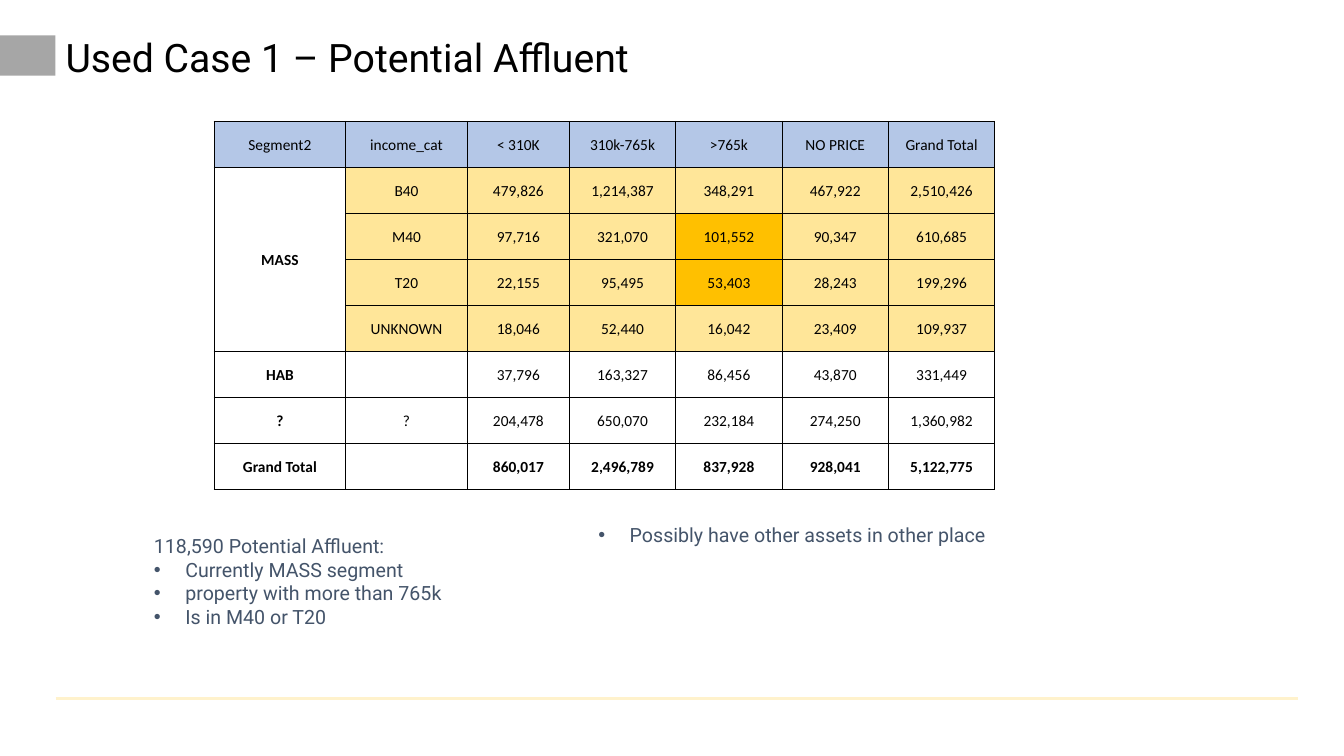
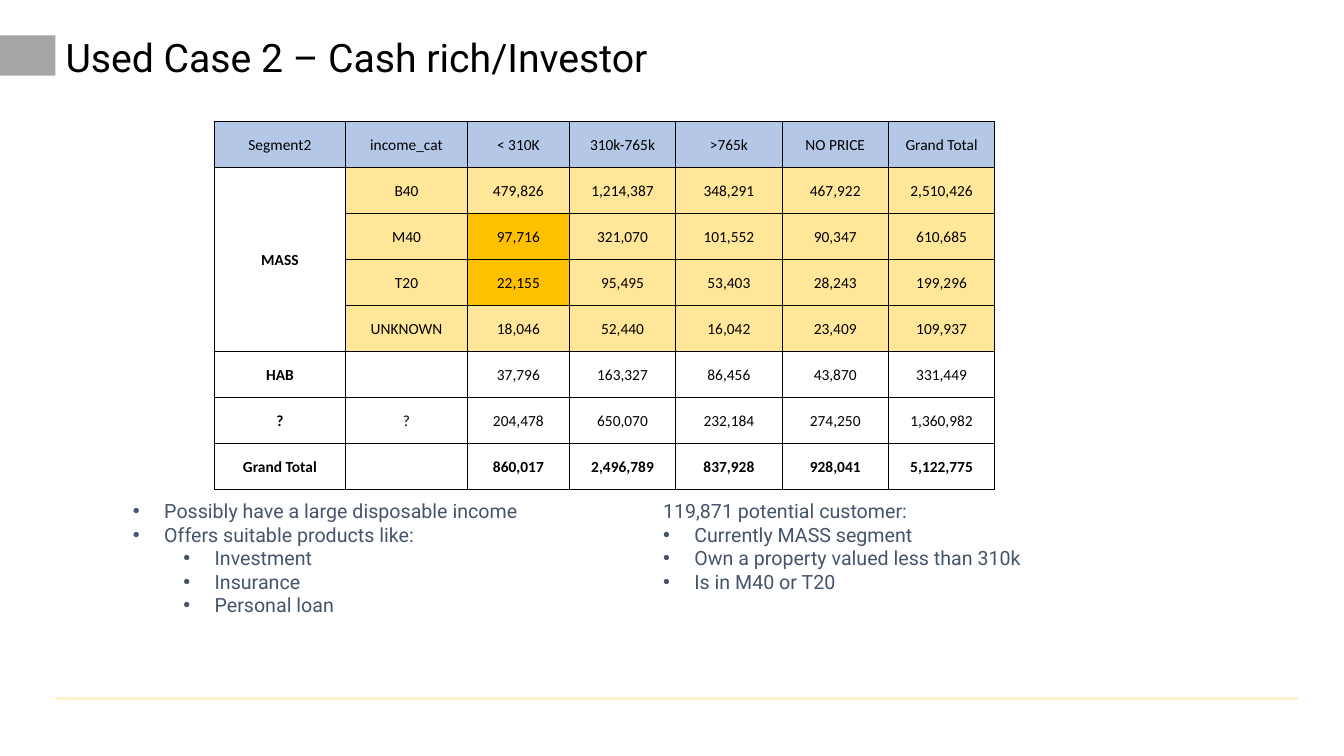
from lxml.etree import SubElement
from pptx import Presentation
from pptx.dml.color import RGBColor
from pptx.enum.shapes import MSO_CONNECTOR, MSO_SHAPE
from pptx.enum.text import MSO_ANCHOR, MSO_AUTO_SIZE, PP_ALIGN
from pptx.oxml.ns import qn
from pptx.util import Cm, Pt

COLOURS = {
    "black": "000000",
    "note": "44546A",
    "band": "A6A6A6",
    "rule": "FFF2CC",
    "header": "B4C7E7",
    "mass": "FFE699",
    "highlight": "FFC000",
}
HEADINGS = ["Segment2", "income_cat", "< 310K", "310k-765k", ">765k", "NO PRICE", "Grand Total"]
SEGMENTS = [
    ["MASS", "B40", "479,826", "1,214,387", "348,291", "467,922", "2,510,426"],
    ["", "M40", "97,716", "321,070", "101,552", "90,347", "610,685"],
    ["", "T20", "22,155", "95,495", "53,403", "28,243", "199,296"],
    ["", "UNKNOWN", "18,046", "52,440", "16,042", "23,409", "109,937"],
    ["HAB", "", "37,796", "163,327", "86,456", "43,870", "331,449"],
    ["?", "?", "204,478", "650,070", "232,184", "274,250", "1,360,982"],
    ["Grand Total", "", "860,017", "2,496,789", "837,928", "928,041", "5,122,775"],
]
MASS_ROWS = range(1, 5)
TARGET_INCOMES = ("M40", "T20")
COLUMN_WIDTHS = [3.31, 3.07, 2.57] + [2.68] * 4
ROW_HEIGHT = 1.16
PLAIN, BULLET, SUB_BULLET = None, 0, 1
BULLET_INDENT, LEVEL_INDENT = 0.79, 1.27

CASES = [
    {
        "title": "Used Case 1 – Potential Affluent",
        "target_price": ">765k",
        "notes": [
            ((3.63, 13.34, 9.9, 3.84), [
                (PLAIN, "118,590 Potential Affluent:"),
                (BULLET, "Currently MASS segment"),
                (BULLET, "property with more than 765k"),
                (BULLET, "Is in M40 or T20"),
            ]),
            ((14.83, 13.06, 13.1, 1.45), [
                (BULLET, "Possibly have other assets in other place"),
            ]),
        ],
    },
    {
        "title": "Used Case 2 – Cash rich/Investor",
        "target_price": "< 310K",
        "notes": [
            ((16.46, 12.45, 13.1, 3.84), [
                (PLAIN, "119,871 potential customer:"),
                (BULLET, "Currently MASS segment"),
                (BULLET, "Own a property valued less than 310k"),
                (BULLET, "Is in M40 or T20"),
            ]),
            ((3.1, 12.45, 11.79, 3.84), [
                (BULLET, "Possibly have a large disposable income"),
                (BULLET, "Offers suitable products like:"),
                (SUB_BULLET, "Investment"),
                (SUB_BULLET, "Insurance"),
                (SUB_BULLET, "Personal loan"),
            ]),
        ],
    },
]


def rgb(name):
    return RGBColor.from_string(COLOURS[name])


def add_bullet(paragraph, level):
    paragraph.level = level
    properties = paragraph._p.get_or_add_pPr()
    properties.set("marL", str(Cm(BULLET_INDENT + level * LEVEL_INDENT)))
    properties.set("indent", str(-Cm(BULLET_INDENT)))
    SubElement(properties, qn("a:buFont")).set("typeface", "Arial")
    SubElement(properties, qn("a:buChar")).set("char", "•")


def write(frame, lines, font="Roboto", size=14, colour="note", bold=False,
          align=PP_ALIGN.LEFT, spacing=None):
    for index, (level, text) in enumerate(lines):
        paragraph = frame.add_paragraph() if index else frame.paragraphs[0]
        if level is not PLAIN:
            add_bullet(paragraph, level)
        paragraph.alignment = align
        if spacing:
            paragraph.line_spacing = spacing
        run = paragraph.add_run()
        run.text = text
        run.font.name = font
        run.font.size = Pt(size)
        run.font.bold = bold
        run.font.color.rgb = rgb(colour)


def add_frame(slide, title):
    rule = slide.shapes.add_connector(MSO_CONNECTOR.STRAIGHT, Cm(1.4), Cm(17.6), Cm(32.72), Cm(17.6))
    rule.line.color.rgb = rgb("rule")
    rule.line.width = Pt(1.75)
    SubElement(rule._element.spPr, qn("a:effectLst"))

    band = slide.shapes.add_shape(MSO_SHAPE.RECTANGLE, Cm(0), Cm(0.89), Cm(1.4), Cm(1.02))
    band.shadow.inherit = False
    band.fill.solid()
    band.fill.fore_color.rgb = rgb("band")
    band.line.fill.background()

    heading = slide.shapes.title
    heading.left, heading.top, heading.width, heading.height = Cm(1.4), Cm(0.69), Cm(30.12), Cm(1.63)
    heading.text_frame.auto_size = MSO_AUTO_SIZE.NONE
    heading.text_frame.word_wrap = True
    heading.text_frame.vertical_anchor = MSO_ANCHOR.MIDDLE
    write(heading.text_frame, [(PLAIN, title)], size=28, colour="black", spacing=0.9)


def add_borders(cell):
    properties = cell._tc.get_or_add_tcPr()
    for side in ("a:lnL", "a:lnR", "a:lnT", "a:lnB"):
        border = SubElement(properties, qn(side), w=str(Pt(1)))
        fill = SubElement(border, qn("a:solidFill"))
        SubElement(fill, qn("a:srgbClr"), val=COLOURS["black"])


def cell_fill(row, column, income, target_price):
    if row == 0:
        return "header"
    if row not in MASS_ROWS or column == 0:
        return None
    if income in TARGET_INCOMES and HEADINGS[column] == target_price:
        return "highlight"
    return "mass"


def add_segments(slide, target_price):
    rows = [HEADINGS] + SEGMENTS
    segments = slide.shapes.add_table(
        len(rows), len(HEADINGS), Cm(5.4), Cm(3.06),
        Cm(sum(COLUMN_WIDTHS)), Cm(ROW_HEIGHT * len(rows))).table
    segments.first_row = segments.horz_banding = False
    for column, width in zip(segments.columns, COLUMN_WIDTHS):
        column.width = Cm(width)
    for row, values in enumerate(rows):
        segments.rows[row].height = Cm(ROW_HEIGHT)
        for column, value in enumerate(values):
            cell = segments.cell(row, column)
            cell.margin_left = cell.margin_right = cell.margin_top = Cm(0.03)
            cell.margin_bottom = Cm(0)
            cell.vertical_anchor = MSO_ANCHOR.MIDDLE
            add_borders(cell)
            colour = cell_fill(row, column, values[1], target_price)
            if colour:
                cell.fill.solid()
                cell.fill.fore_color.rgb = rgb(colour)
            else:
                cell.fill.background()
            if value:
                bold = row == len(rows) - 1 or (row > 0 and column == 0)
                write(cell.text_frame, [(PLAIN, value)], font="Calibri", size=11,
                      colour="black", bold=bold, align=PP_ALIGN.CENTER)
    segments.cell(MASS_ROWS[0], 0).merge(segments.cell(MASS_ROWS[-1], 0))


def main():
    deck = Presentation()
    deck.slide_width, deck.slide_height = Cm(33.87), Cm(19.05)
    title_only = deck.slide_layouts[5]
    for case in CASES:
        slide = deck.slides.add_slide(title_only)
        add_frame(slide, case["title"])
        add_segments(slide, case["target_price"])
        for place, lines in case["notes"]:
            note = slide.shapes.add_textbox(*map(Cm, place)).text_frame
            note.word_wrap = True
            write(note, lines)
    deck.save("out.pptx")


if __name__ == "__main__":
    main()
